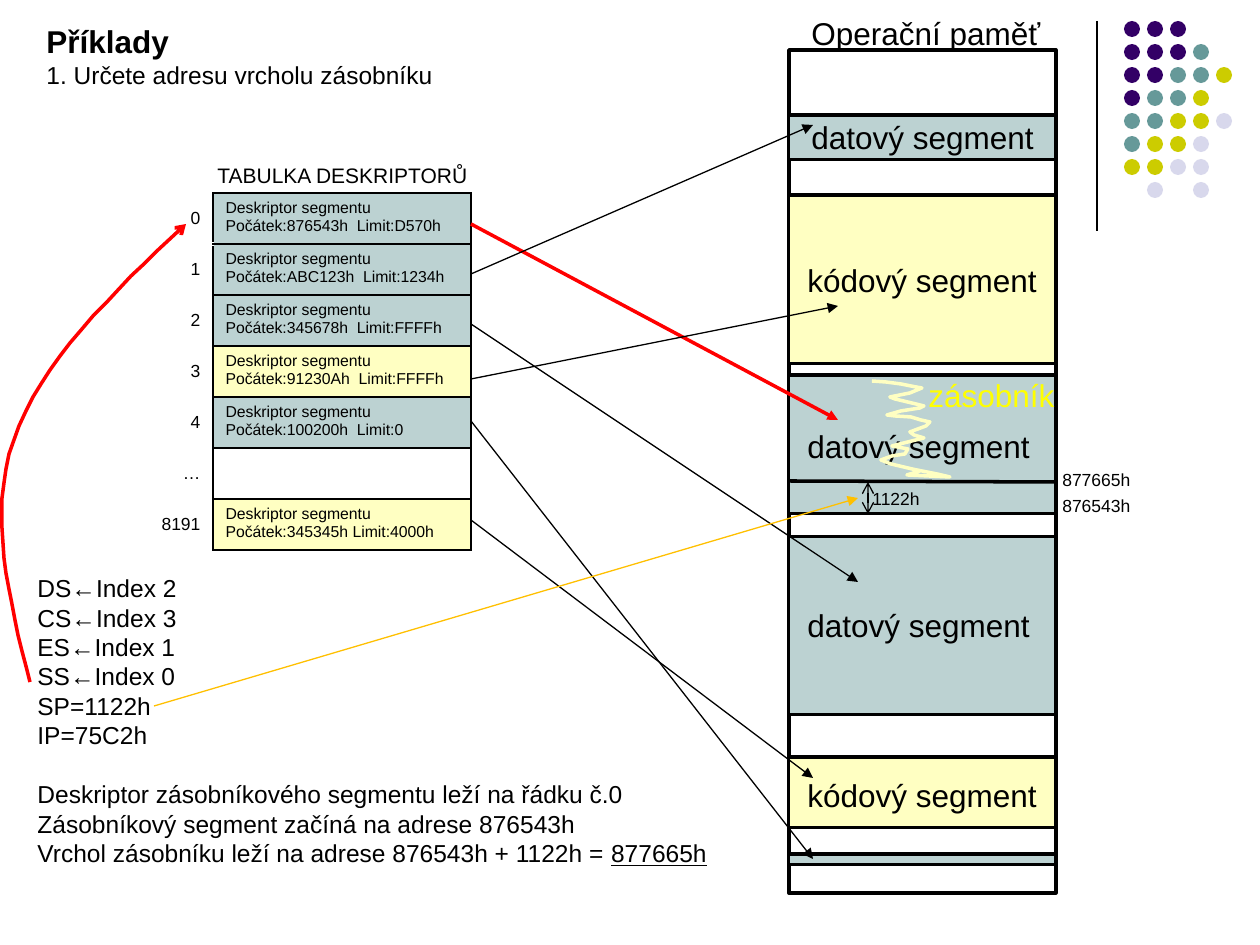
from lxml.etree import SubElement
from pptx import Presentation
from pptx.dml.color import RGBColor
from pptx.enum.shapes import MSO_CONNECTOR as Connector, MSO_SHAPE as Preset
from pptx.enum.text import MSO_ANCHOR as Anchor, MSO_AUTO_SIZE as AutoSize, PP_ALIGN as Align
from pptx.oxml.ns import qn
from pptx.util import Pt

PX = 914400 / 126
BLACK, WHITE, RED, ORANGE, YELLOW = "000000", "FFFFFF", "FF0000", "FFC000", "FFFF00"
DATA, CODE = "BCD2D2", "FFFFC2"

DOTS = ["PPP", "PPPT", "PPTTY", "PTTY", "TTYYL", "TYYL", "YYLL", " L L"]
DOT_COLORS = {"P": "330066", "T": "669999", "Y": "CCCC00", "L": "D8D8EC"}

MEMORY_LEFT, MEMORY_WIDTH = 789, 267
SEGMENTS = [
    (50, 843, None, 2), (115, 45, DATA, 1.75), (195, 169, CODE, 1.75),
    (375, 139, DATA, 1.75), (537, 178, DATA, 1.75), (757, 71, CODE, 1.75),
    (854, 11, DATA, 1.75),
]

LABELS = [
    ("Operační paměť", 799, 8, 358, 50, 18, BLACK),
    ("datový segment", 799, 112, 277, 50, 18, BLACK),
    ("kódový segment", 795, 255, 278, 50, 18, BLACK),
    ("datový segment", 795, 421, 278, 50, 18, BLACK),
    ("datový segment", 795, 600, 278, 50, 18, BLACK),
    ("kódový segment", 795, 770, 278, 50, 18, BLACK),
    ("TABULKA DESKRIPTORŮ", 205, 156, 299, 38, 12, BLACK),
    ("876543h", 1050, 489, 161, 34, 10, BLACK),
    ("877665h", 1050, 463, 161, 34, 10, BLACK),
    ("1122h", 860, 482, 161, 34, 10, BLACK),
]

DESCRIPTORS = [
    ("0", "Počátek:876543h  Limit:D570h", DATA),
    ("1", "Počátek:ABC123h  Limit:1234h", DATA),
    ("2", "Počátek:345678h  Limit:FFFFh", DATA),
    ("3", "Počátek:91230Ah  Limit:FFFFh", CODE),
    ("4", "Počátek:100200h  Limit:0", DATA),
    ("…", None, None),
    ("8191", "Počátek:345345h Limit:4000h", CODE),
]
COLUMNS, ROW_HEIGHT = (69, 258), 51

HEADING = [[("Příklady", {"size": 18, "bold": True})],
           [("1. Určete adresu vrcholu zásobníku", {"size": 14})]]
REGISTERS = ["DS←Index 2", "CS←Index 3", "ES←Index 1", "SS←Index 0", "SP=1122h", "IP=75C2h"]
ANSWER = [
    [("Deskriptor zásobníkového segmentu leží na řádku č.0", {})],
    [("Zásobníkový segment začíná na adrese 876543h", {})],
    [("Vrchol zásobníku leží na adrese 876543h + 1122h = ", {}), ("877665h", {"underline": True})],
]

LINES = [
    (1097, 21, 1097, 231, BLACK, 0.75, {}),
    (471, 224, 838, 420, RED, 2, {"tailEnd": "triangle"}),
    (471, 324, 858, 582, BLACK, 0.75, {"tailEnd": "triangle"}),
    (471, 274, 813, 125, BLACK, 0.75, {"tailEnd": "triangle"}),
    (471, 379, 838, 306, BLACK, 0.75, {"tailEnd": "triangle"}),
    (471, 520, 813, 778, BLACK, 0.75, {"tailEnd": "triangle"}),
    (471, 421, 813, 859, BLACK, 0.75, {"tailEnd": "triangle"}),
    (789, 481, 1057, 482, BLACK, 2, {}),
    (868, 482, 868, 514, BLACK, 0.75, {"headEnd": "arrow", "tailEnd": "arrow"}),
    (154, 706, 858, 498, ORANGE, 0.75, {"tailEnd": "triangle"}),
]

INDEX_CURVE = [(30, 682), (9, 599), (-13, 515), (14, 440), (39, 363), (112, 294), (186, 224)]
STACK_SCRIBBLE = [
    (872, 381), (886, 382), (901, 384), (916, 387), (922, 388), (910, 393), (890, 397),
    (895, 399), (916, 404), (924, 406), (920, 408), (901, 411), (887, 415), (895, 416),
    (911, 417), (921, 420), (930, 422), (926, 426), (910, 432), (914, 435), (924, 438),
    (908, 442), (892, 446), (908, 449), (905, 454), (892, 456), (881, 460), (891, 464),
    (912, 469), (937, 474), (950, 477), (907, 475), (920, 471),
]


def px(*lengths):
    return [round(length * PX) for length in lengths]


def color(value):
    return RGBColor.from_string(value)


def add_run(paragraph, text, size, ink=BLACK, bold=False, underline=False):
    run = paragraph.add_run()
    run.text = text
    font = run.font
    font.name, font.size, font.bold, font.underline = "Arial", Pt(size), bold, underline
    font.color.rgb = color(ink)


def add_text(box, paragraphs, size=14, ink=BLACK):
    frame = slide.shapes.add_textbox(*px(*box)).text_frame
    frame.word_wrap = True
    frame.auto_size = AutoSize.SHAPE_TO_FIT_TEXT
    for number, runs in enumerate(paragraphs):
        paragraph = frame.add_paragraph() if number else frame.paragraphs[0]
        for text, style in runs:
            add_run(paragraph, text, **{"size": size, "ink": ink, **style})
    return frame


def set_line(line, ink, width, ends={}):
    line.color.rgb = color(ink)
    line.width = Pt(width)
    for tag in ("headEnd", "tailEnd"):
        if tag in ends:
            SubElement(line._get_or_add_ln(), qn("a:" + tag), type=ends[tag])


def add_block(preset, box, fill, border=None):
    block = slide.shapes.add_shape(preset, *px(*box))
    block.shadow.inherit = False
    if fill:
        block.fill.solid()
        block.fill.fore_color.rgb = color(fill)
    else:
        block.fill.background()
    if border:
        set_line(block.line, BLACK, border)
    else:
        block.line.fill.background()


def add_line(x1, y1, x2, y2, ink, width, ends):
    line = slide.shapes.add_connector(Connector.STRAIGHT, *px(x1, y1, x2, y2))
    SubElement(line._element.spPr, qn("a:effectLst"))
    set_line(line.line, ink, width, ends)
    line._element.spPr.append(line._element.spPr.find(qn("a:effectLst")))


def add_outline(points, ink, ends={}):
    builder = slide.shapes.build_freeform(*points[0], scale=PX)
    builder.add_line_segments(points[1:], close=False)
    outline = builder.convert_to_shape()
    outline.shadow.inherit = False
    outline.fill.background()
    set_line(outline.line, ink, 2, ends)


def bezier(controls, steps=16):
    points = [controls[0]]
    for start in range(0, len(controls) - 1, 3):
        for step in range(1, steps + 1):
            t = step / steps
            weights = ((1 - t) ** 3, 3 * t * (1 - t) ** 2, 3 * t * t * (1 - t), t ** 3)
            part = controls[start:start + 4]
            points.append(tuple(sum(w * p[axis] for w, p in zip(weights, part)) for axis in (0, 1)))
    return points


def style_cell(cell, fill, borders):
    for side, (ink, width) in zip("LRTB", borders):
        edge = SubElement(cell._tc.get_or_add_tcPr(), qn("a:ln" + side), w=str(Pt(width)))
        SubElement(SubElement(edge, qn("a:solidFill")), qn("a:srgbClr"), val=ink)
    if fill:
        cell.fill.solid()
        cell.fill.fore_color.rgb = color(fill)
    else:
        cell.fill.background()


def add_descriptors():
    size = (144, 193, sum(COLUMNS), ROW_HEIGHT * len(DESCRIPTORS))
    table = slide.shapes.add_table(len(DESCRIPTORS), 2, *px(*size)).table
    table.first_row = table.horz_banding = False
    for column, width in zip(table.columns, px(*COLUMNS)):
        column.width = width
    for row, (index, limits, fill) in enumerate(DESCRIPTORS):
        table.rows[row].height = px(ROW_HEIGHT)[0]
        number, descriptor = table.cell(row, 0), table.cell(row, 1)
        bottom = 1 if row else 3
        style_cell(number, None, [(WHITE, 1), (BLACK, 1), (WHITE, 1), (WHITE, bottom)])
        style_cell(descriptor, fill, [(BLACK, 1)] * 4)
        number.vertical_anchor = Anchor.MIDDLE
        number.text_frame.paragraphs[0].alignment = Align.RIGHT
        add_run(number.text_frame.paragraphs[0], index, 10)
        if limits:
            add_run(descriptor.text_frame.paragraphs[0], "Deskriptor segmentu", 9)
            add_run(descriptor.text_frame.add_paragraph(), limits, 9)


deck = Presentation()
deck.slide_width, deck.slide_height = px(1260, 945)
slide = deck.slides.add_slide(deck.slide_layouts[6])

for row, dots in enumerate(DOTS):
    for column, dot in enumerate(dots):
        if dot in DOT_COLORS:
            add_block(Preset.OVAL, (1124 + 23 * column, 21 + 23 * row, 16, 16), DOT_COLORS[dot])
for top, height, fill, border in SEGMENTS:
    add_block(Preset.RECTANGLE, (MEMORY_LEFT, top, MEMORY_WIDTH, height), fill, border)
for text, left, top, width, height, size, ink in LABELS:
    add_text((left, top, width, height), [[(text, {})]], size, ink)
add_descriptors()
add_text((34, 16, 496, 118), HEADING)
notes = add_text((25, 567, 726, 369), [[(line, {})] for line in REGISTERS] + ANSWER)
notes.paragraphs[len(REGISTERS)].space_before = Pt(17)
for line in LINES:
    add_line(*line)
add_outline(bezier(INDEX_CURVE), RED, {"tailEnd": "arrow"})
add_outline(STACK_SCRIBBLE, CODE)
add_text((916, 370, 165, 50), [[("zásobník", {})]], 18, YELLOW)

deck.save("out.pptx")
